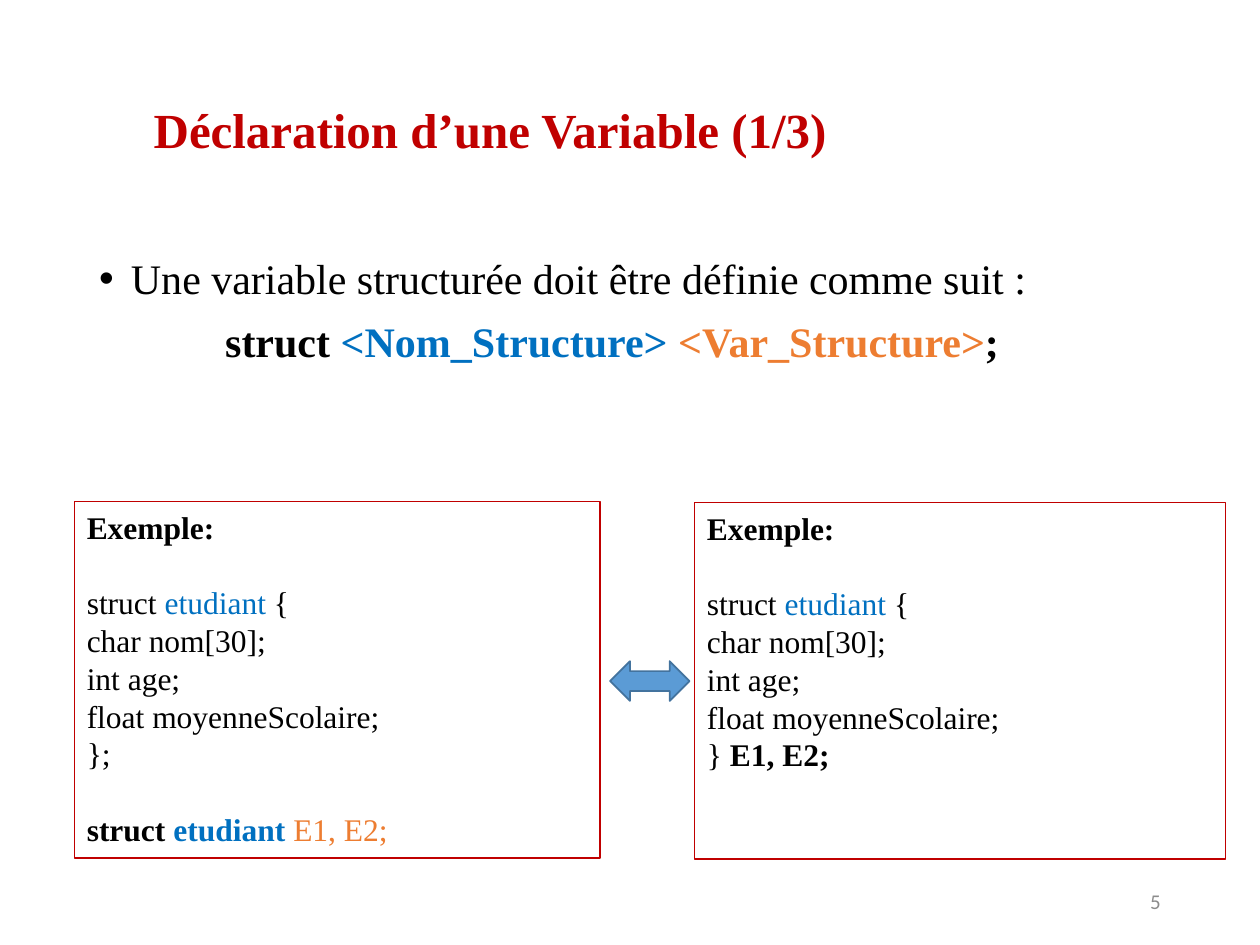
from lxml.etree import SubElement
from pptx import Presentation
from pptx.dml.color import RGBColor
from pptx.enum.shapes import MSO_SHAPE
from pptx.enum.text import MSO_ANCHOR, PP_ALIGN
from pptx.oxml.ns import qn
from pptx.util import Cm, Pt

COLORS = {
    "black": "000000", "red": "C00000", "blue": "0070C0", "orange": "ED7D31",
    "grey": "8C8C8C", "arrow": "5B9BD5", "arrow_line": "43739E",
}
SERIF = "Times New Roman"


def color(name):
    return RGBColor.from_string(COLORS[name])


def add_text(slide, box, paragraphs, size, font=SERIF, **formats):
    """Add a text box; each paragraph is a list of (text, colour, bold) runs."""
    shape = slide.shapes.add_textbox(*(Cm(length) for length in box))
    frame = shape.text_frame
    frame.word_wrap = True
    for index, runs in enumerate(paragraphs):
        paragraph = frame.paragraphs[0] if index == 0 else frame.add_paragraph()
        for name, value in formats.items():
            setattr(paragraph, name, value)
        for text, color_name, bold in runs:
            run = paragraph.add_run()
            run.text = text
            run.font.color.rgb = color(color_name)
            for name, value in {"name": font, "size": Pt(size), "bold": bold}.items():
                setattr(run.font, name, value)
    return shape


presentation = Presentation()
presentation.slide_width, presentation.slide_height = Cm(25.4), Cm(19.05)
slide = presentation.slides.add_slide(presentation.slide_layouts[6])

# Title
title = add_text(slide, (0.58, 1.88, 17.35, 1.45),
                 [[("Déclaration d’une Variable (1/3)", "red", True)]],
                 28, alignment=PP_ALIGN.CENTER)
title.text_frame.margin_left = Cm(1.5)

# Definition and its syntax
definition = add_text(slide, (1.75, 5.08, 21.9, 3.25), [
    [("Une variable structurée doit être définie comme suit :", "black", False)],
    [("struct ", "black", True), ("<Nom_Structure> ", "blue", True),
     ("<Var_Structure>", "orange", True), (";", "black", True)],
], 24, alignment=PP_ALIGN.JUSTIFY, line_spacing=0.9)
bullet_line, syntax_line = definition.text_frame.paragraphs
syntax_line.space_before = Pt(10)
for paragraph, left, indent in ((bullet_line, 0.64, -0.64), (syntax_line, 2.54, 0)):
    properties = paragraph._p.get_or_add_pPr()
    properties.set("marL", str(Cm(left)))
    properties.set("indent", str(Cm(indent)))
properties = bullet_line._p.get_or_add_pPr()
SubElement(properties, qn("a:buFont"), typeface="Arial")
SubElement(properties, qn("a:buChar"), char="•")

# Two equivalent examples
structure_lines = [
    [("Exemple:", "black", True)],
    [("struct ", "black", False), ("etudiant ", "blue", False), ("{", "black", False)],
    [("char nom[30];", "black", False)],
    [("int age;", "black", False)],
    [("float moyenneScolaire;", "black", False)],
]
separate_lines = [
    [("};", "black", False)],
    [("struct ", "black", True), ("etudiant ", "blue", True), ("E1, E2;", "orange", False)],
]
combined_lines = [[("} ", "black", False), ("E1, E2;", "black", True)]]
examples = (
    ((1.5, 10.11, 10.6, 7.19), separate_lines, (1, 6)),
    ((14, 10.13, 10.7, 7.19), combined_lines, (1,)),
)
for box, last_lines, lines_after_gap in examples:
    example = add_text(slide, box, structure_lines + last_lines, 18)
    example.line.color.rgb = color("red")
    example.line.width = Pt(0.75)
    for index in lines_after_gap:
        example.text_frame.paragraphs[index].space_before = Pt(21.6)

arrow = slide.shapes.add_shape(MSO_SHAPE.LEFT_RIGHT_ARROW,
                               Cm(12.3), Cm(13.33), Cm(1.6), Cm(0.8))
arrow.shadow.inherit = False
arrow.fill.solid()
arrow.fill.fore_color.rgb = color("arrow")
arrow.line.color.rgb = color("arrow_line")
arrow.line.width = Pt(1)

# Slide number
number = add_text(slide, (17.93, 17.65, 5.72, 1.02), [[("5", "grey", False)]],
                  12, "Calibri", alignment=PP_ALIGN.RIGHT)
number.text_frame.vertical_anchor = MSO_ANCHOR.MIDDLE

presentation.save("out.pptx")
